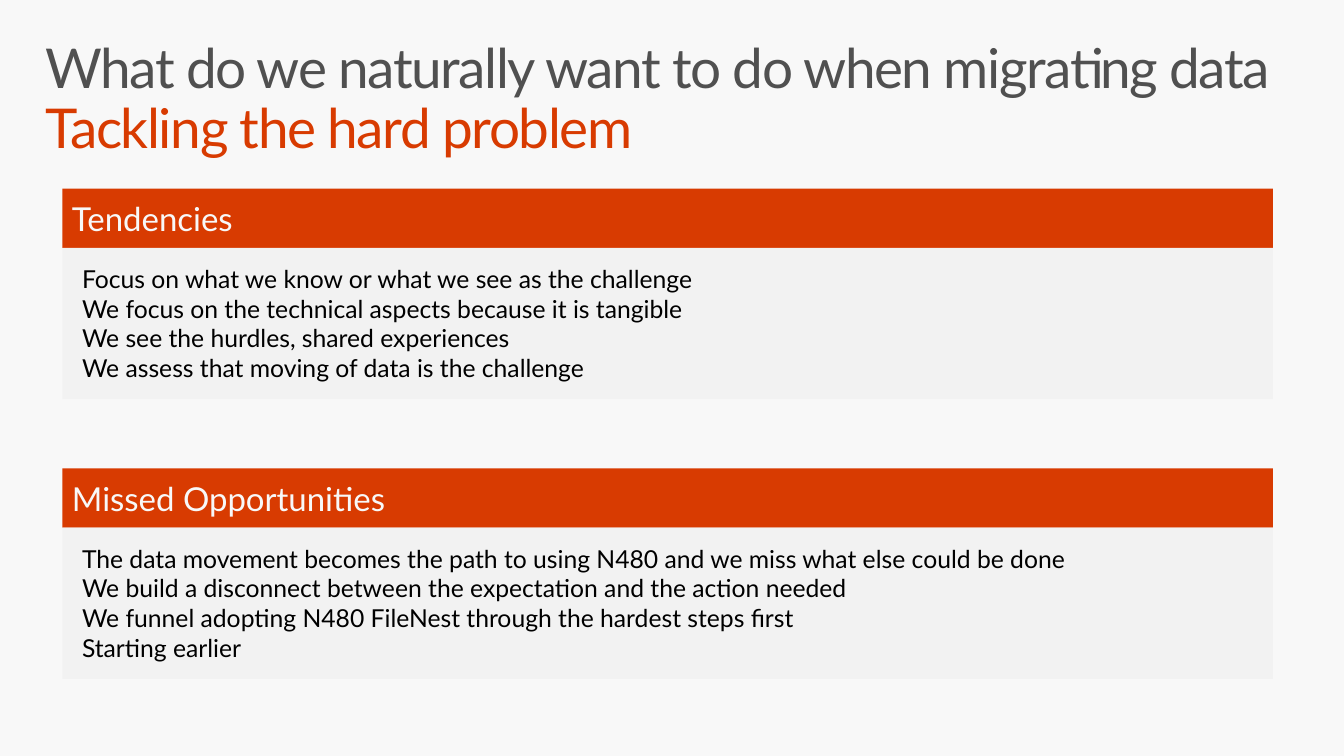
from dataclasses import dataclass

import pptx
import pptx.dml.color
import pptx.enum.shapes
import pptx.enum.text
import pptx.util
from pptx.util import Inches

COLORS = {
    "background": "F8F8F8",
    "accent": "D83B01",
    "panel": "F2F2F2",
    "title": "505050",
    "body": "000000",
}
FONT = "Lato"
LEFT, WIDTH = 0.63, 12.25
HEADER_HEIGHT, BODY_HEIGHT = 0.6, 1.53
FIRST_TOP, SECTION_STEP = 1.91, 2.83


@dataclass
class Section:
    heading: str
    points: list[str]


@dataclass
class Insets:
    left: float
    top: float
    right: float
    bottom: float


SECTIONS = [
    Section("Tendencies", [
        "Focus on what we know or what we see as the challenge",
        "We focus on the technical aspects because it is tangible",
        "We see the hurdles, shared experiences",
        "We assess that moving of data is the challenge",
    ]),
    Section("Missed Opportunities", [
        "The data movement becomes the path to using N480 and we miss what else could be done",
        "We build a disconnect between the expectation and the action needed",
        "We funnel adopting N480 FileNest through the hardest steps first",
        "Starting earlier",
    ]),
]


def rgb(name: str) -> pptx.dml.color.RGBColor:
    return pptx.dml.color.RGBColor.from_string(COLORS[name])


def set_insets(frame, insets: Insets) -> None:
    frame.word_wrap = True
    frame.margin_left = Inches(insets.left)
    frame.margin_top = Inches(insets.top)
    frame.margin_right = Inches(insets.right)
    frame.margin_bottom = Inches(insets.bottom)


def style_font(font, size: float, color: str) -> None:
    font.name = FONT
    font.size = pptx.util.Pt(size)
    font.color.rgb = rgb(color)


def add_title(slide, question: str, answer: str) -> None:
    title = slide.shapes.add_textbox(Inches(0.3), Inches(0.32), Inches(13), Inches(1))
    set_insets(title.text_frame, Insets(0.16, 0.1, 0.16, 0.1))
    paragraph = title.text_frame.paragraphs[0]
    paragraph.line_spacing = 0.9
    style_font(paragraph.font, 40, "title")
    question_run = paragraph.add_run()
    question_run.text = question
    paragraph.add_line_break()
    answer_run = paragraph.add_run()
    answer_run.text = answer
    for run, color in ((question_run, "title"), (answer_run, "accent")):
        style_font(run.font, 40, color)
        run._r.get_or_add_rPr().set("spc", "-100")


def add_panel(slide, top: float, height: float, fill: str, lines: list[str],
              size: float, color: str, insets: Insets,
              anchor: pptx.enum.text.MSO_ANCHOR) -> None:
    panel = slide.shapes.add_shape(
        pptx.enum.shapes.MSO_SHAPE.RECTANGLE,
        Inches(LEFT), Inches(top), Inches(WIDTH), Inches(height))
    panel.shadow.inherit = False
    panel.fill.solid()
    panel.fill.fore_color.rgb = rgb(fill)
    panel.line.fill.background()
    frame = panel.text_frame
    set_insets(frame, insets)
    frame.vertical_anchor = anchor
    frame.text = "\n".join(lines)
    for paragraph in frame.paragraphs:
        paragraph.alignment = pptx.enum.text.PP_ALIGN.LEFT
        style_font(paragraph.font, size, color)


def add_section(slide, section: Section, top: float) -> None:
    anchors = pptx.enum.text.MSO_ANCHOR
    add_panel(slide, top, HEADER_HEIGHT, "accent", [section.heading], 24,
              "background", Insets(0.1, 0.05, 0.01, 0.05), anchors.MIDDLE)
    add_panel(slide, top + HEADER_HEIGHT, BODY_HEIGHT, "panel", section.points, 18,
              "body", Insets(0.2, 0.16, 0.2, 0.16), anchors.TOP)


def main() -> None:
    presentation = pptx.Presentation()
    presentation.slide_width = Inches(13.6)
    presentation.slide_height = Inches(7.65)
    slide = presentation.slides.add_slide(presentation.slide_layouts[6])
    slide.background.fill.solid()
    slide.background.fill.fore_color.rgb = rgb("background")
    add_title(slide, "What do we naturally want to do when migrating data",
              "Tackling the hard problem")
    for index, section in enumerate(SECTIONS):
        add_section(slide, section, FIRST_TOP + index * SECTION_STEP)
    presentation.save("out.pptx")


if __name__ == "__main__":
    main()
